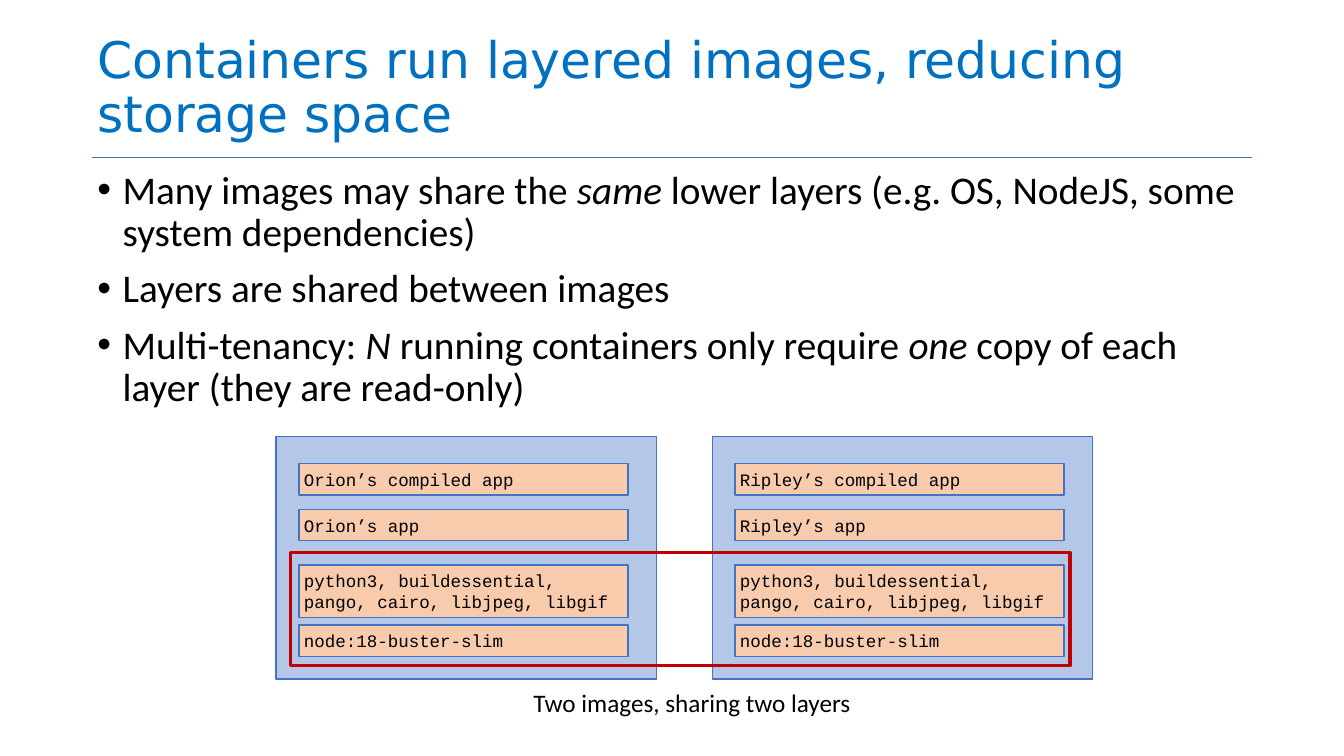
from lxml import etree
from pptx import Presentation
from pptx.dml.color import RGBColor
from pptx.enum.shapes import MSO_CONNECTOR, MSO_SHAPE
from pptx.enum.text import MSO_ANCHOR, MSO_AUTO_SIZE, PP_ALIGN
from pptx.oxml.ns import qn
from pptx.util import Pt

LINE = MSO_CONNECTOR.STRAIGHT
RECT = MSO_SHAPE.RECTANGLE
TOP, MIDDLE, BOTTOM = MSO_ANCHOR.TOP, MSO_ANCHOR.MIDDLE, MSO_ANCHOR.BOTTOM
FIXED = MSO_AUTO_SIZE.NONE
LEFT = PP_ALIGN.LEFT

BLUE, SKY, PEACH, RED = "4472C4", "B4C7E7", "F8CBAD", "C00000"
TITLE = "Containers run layered images, reducing storage space"
POINTS = [
    "Many images may share the *same* lower layers (e.g. OS, NodeJS, some system dependencies)",
    "Layers are shared between images",
    "Multi-tenancy: *N* running containers only require *one* copy of each layer (they are read-only)",
]
OWNERS = ["Orion", "Ripley"]
LAYERS = [
    ("node:18-buster-slim", 893, 44.6),
    ("python3, buildessential, pango, cairo, libjpeg, libgif", 807, 75),
    ("{}’s app", 728, 44.6),
    ("{}’s compiled app", 662.5, 44.6),
]


def color(code):
    """Turn a hex string into a colour."""
    return RGBColor.from_string(code)


class Board:
    """Hold the style and the current slide."""

    sans, mono, head = "Calibri", "Courier New", "DejaVu Sans"
    black, accent = "000000", "0070C0"

    def __init__(self, slide):
        """Keep the slide to draw on."""
        self.slide = slide

    def place(self, shape, x, y, w, h):
        """Move and size a shape."""
        shape.left, shape.top, shape.width, shape.height = map(Pt, (x, y, w, h))

    def frame(self, shape, anchor):
        """Set wrapping, margins and anchor of a text frame."""
        frame = shape.text_frame
        frame.word_wrap = True
        frame.auto_size = FIXED
        frame.vertical_anchor = anchor
        frame.margin_left = frame.margin_right = Pt(7.2)
        frame.margin_top = frame.margin_bottom = Pt(7.2)
        return frame

    def style(self, para, face, size, code):
        """Set the font of a paragraph."""
        para.alignment = LEFT
        para.font.name = face
        para.font.size = Pt(size)
        para.font.color.rgb = color(code)

    def title(self, text, *area):
        """Fill the title placeholder."""
        shape = self.slide.shapes.title
        self.place(shape, *area)
        frame = self.frame(shape, BOTTOM)
        frame.text = text
        para = frame.paragraphs[0]
        para.line_spacing = 0.9
        self.style(para, self.head, 72, self.accent)

    def bullets(self, items, *area):
        """Fill the body placeholder, with starred words in italics."""
        shape = self.slide.placeholders[1]
        self.place(shape, *area)
        frame = self.frame(shape, TOP)
        for i, item in enumerate(items):
            para = frame.add_paragraph() if i else frame.paragraphs[0]
            props = para._p.get_or_add_pPr()
            props.set("marL", str(Pt(36)))
            props.set("indent", str(-Pt(36)))
            etree.SubElement(props, qn("a:buFont"), typeface="Arial")
            etree.SubElement(props, qn("a:buChar"), char="•")
            para.line_spacing = 0.9
            para.space_before = Pt(20 if i else 0)
            self.style(para, self.sans, 56, self.black)
            for j, part in enumerate(item.split("*")):
                run = para.add_run()
                run.text = part
                if j % 2:
                    run.font.italic = True

    def rule(self, x, y, end):
        """Draw a level line."""
        line = self.slide.shapes.add_connector(LINE, Pt(x), Pt(y), Pt(end), Pt(y))
        line.line.color.rgb = color(BLUE)
        line.line.width = Pt(1)
        etree.SubElement(line._element.spPr, qn("a:effectLst"))

    def box(self, x, y, w, h, fill=None, edge=BLUE, width=2, text=None):
        """Draw a rectangle with optional fill and text."""
        shape = self.slide.shapes.add_shape(RECT, Pt(x), Pt(y), Pt(w), Pt(h))
        shape.shadow.inherit = False
        if fill:
            shape.fill.solid()
            shape.fill.fore_color.rgb = color(fill)
        else:
            shape.fill.background()
        shape.line.color.rgb = color(edge)
        shape.line.width = Pt(width)
        if text:
            frame = self.frame(shape, MIDDLE)
            frame.text = text
            self.style(frame.paragraphs[0], self.mono, 25, self.black)

    def label(self, text, x, y, w, h):
        """Add a caption."""
        shape = self.slide.shapes.add_textbox(Pt(x), Pt(y), Pt(w), Pt(h))
        frame = self.frame(shape, MIDDLE)
        frame.text = text
        self.style(frame.paragraphs[0], self.sans, 36, self.black)


def main():
    """Build and save the slide."""
    deck = Presentation()
    deck.slide_width, deck.slide_height = Pt(1920), Pt(1080)
    board = Board(deck.slides.add_slide(deck.slide_layouts[1]))
    board.rule(132, 225.5, 1788)
    board.title(TITLE, 132, 3, 1656, 209)
    board.bullets(POINTS, 132, 236, 1656, 685.5)
    for i, owner in enumerate(OWNERS):
        x = 394.5 + 623 * i
        board.box(x, 623.5, 543.5, 346.5, SKY)
        for text, y, h in LAYERS:
            board.box(x + 32.5, y, 470, h, PEACH, text=text.format(owner))
    board.label("Two images, sharing two layers", 755, 975, 524, 58)
    board.box(414.5, 789, 1114, 162, edge=RED, width=4.5)
    deck.save("out.pptx")


if __name__ == "__main__":
    main()
